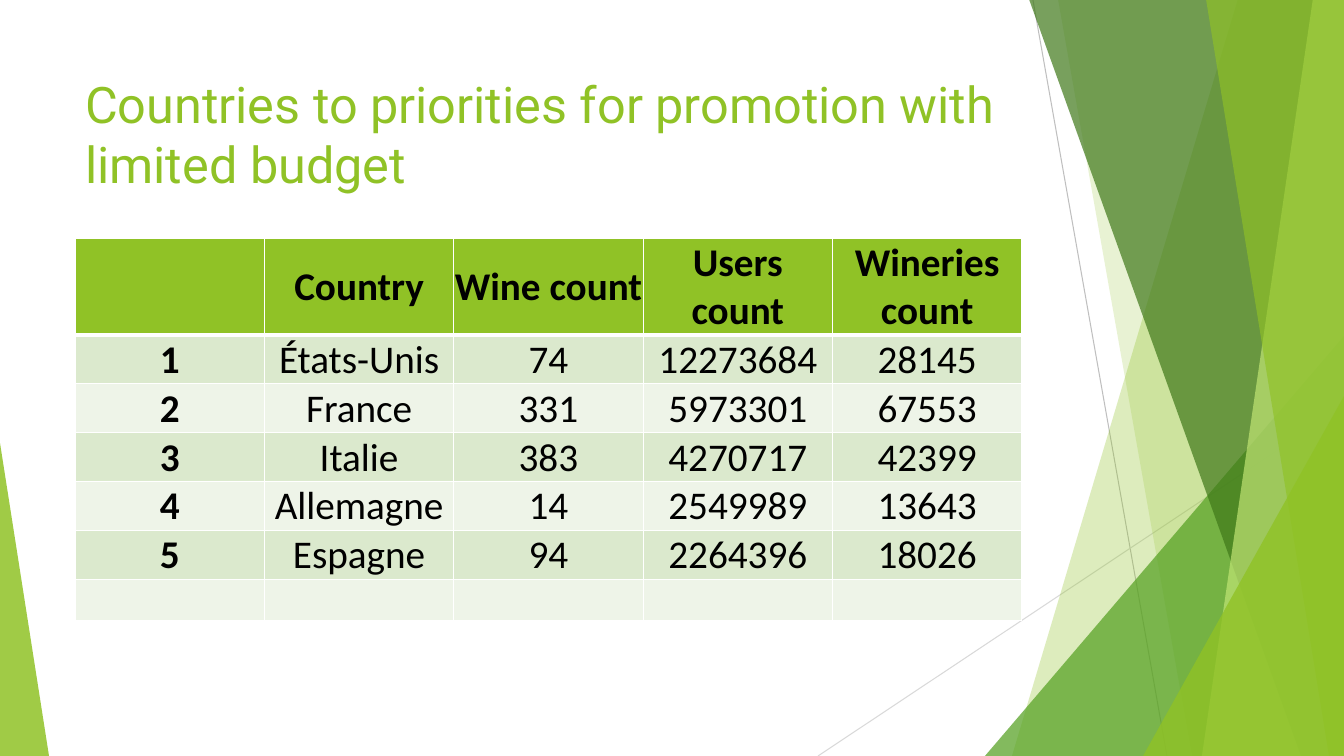
import pptx
import pptx.util
import pptx.dml.color
import pptx.enum.shapes
import pptx.enum.text
import pptx.oxml
import pptx.oxml.ns
import lxml.etree

THEME = {
    "lime": "90C226", "leaf": "54A021", "forest": "3F7819", "pale": "C0E474",
    "line dark": "BFBFBF", "line light": "D9D9D9",
    "band odd": "DBE9CD", "band even": "EEF4E8",
    "border": "FFFFFF", "text": "000000",
    "title font": "Roboto", "table font": "Calibri",
    "title size": 36, "table size": 28,
}
PX = 914400 / 100.8
WIDTH, HEIGHT = 1344, 756


def px(*lengths):
    return [pptx.util.Emu(round(length * PX)) for length in lengths]


def paint(shape, color, opacity):
    shape.shadow.inherit = False
    shape.line.fill.background()
    shape.fill.solid()
    shape.fill.fore_color.rgb = pptx.dml.color.RGBColor.from_string(THEME[color])
    tint = shape.element.spPr.find(".//" + pptx.oxml.ns.qn("a:srgbClr"))
    alpha = lxml.etree.SubElement(tint, pptx.oxml.ns.qn("a:alpha"))
    alpha.set("val", str(opacity * 1000))


deck = pptx.Presentation()
deck.slide_width, deck.slide_height = px(WIDTH, HEIGHT)
page = deck.slides.add_slide(deck.slide_layouts[5])

# Thin lines behind the facets
for ends, color in [((1033, 0, 1167, HEIGHT), "line dark"),
                    ((WIDTH, 406, 818, HEIGHT), "line light")]:
    line = page.shapes.add_connector(pptx.enum.shapes.MSO_CONNECTOR.STRAIGHT, *px(*ends))
    line.line.color.rgb = pptx.dml.color.RGBColor.from_string(THEME[color])
    line.line.width = pptx.util.Pt(0.75)
    lxml.etree.SubElement(line.element.spPr, pptx.oxml.ns.qn("a:effectLst"))

# Facets, back to front: slabs give top and bottom left corners,
# triangles give their box and the place of the tip
facets = [
    ("slab", (1238, 1012), "lime", 30),
    ("slab", (1058, 1192), "lime", 20),
    ("triangle", (985, 336, 359, 420, 1), "leaf", 72),
    ("slab", (1029, 1301), "forest", 70),
    ("slab", (1313, 1202), "pale", 70),
    ("slab", (1206, 1329), "lime", 65),
    ("triangle", (1143, 396, 201, 360, 1), "lime", 80),
    ("triangle", (0, 443, 49, 313, 0), "lime", 85),
]
for kind, place, color, opacity in facets:
    if kind == "slab":
        top_left, bottom_left = place
        outline = page.shapes.build_freeform(top_left, -1, scale=PX)
        outline.add_line_segments([(WIDTH, -1), (WIDTH, HEIGHT), (bottom_left, HEIGHT)])
        facet = outline.convert_to_shape()
    else:
        facet = page.shapes.add_shape(
            pptx.enum.shapes.MSO_SHAPE.ISOSCELES_TRIANGLE, *px(*place[:4]))
        facet.adjustments[0] = place[4]
    paint(facet, color, opacity)

# Title, brought in front of the facets
title = page.shapes.title
title.element.getparent().append(title.element)
title.left, title.top, title.width, title.height = px(75, 68, 947, 145)
frame = title.text_frame
frame.word_wrap = True
frame.auto_size = pptx.enum.text.MSO_AUTO_SIZE.NONE
frame.vertical_anchor = pptx.enum.text.MSO_ANCHOR.TOP
para = frame.paragraphs[0]
para.alignment = pptx.enum.text.PP_ALIGN.LEFT
span = para.add_run()
span.text = "Countries to priorities for promotion with limited budget"
span.font.name = THEME["title font"]
span.font.size = pptx.util.Pt(THEME["title size"])
span.font.color.rgb = pptx.dml.color.RGBColor.from_string(THEME["lime"])

# Country table
countries = [
    ("", "Country", "Wine count", "Users count", "Wineries count"),
    ("1", "États-Unis", "74", "12273684", "28145"),
    ("2", "France", "331", "5973301", "67553"),
    ("3", "Italie", "383", "4270717", "42399"),
    ("4", "Allemagne", "14", "2549989", "13643"),
    ("5", "Espagne", "94", "2264396", "18026"),
    ("", "", "", "", ""),
]
grid = page.shapes.add_table(len(countries), len(countries[0]), *px(75, 238, 947, 287)).table
for row in grid.rows:
    row.height = px(41)[0]

for row_index, values in enumerate(countries):
    header = row_index == 0
    band = "lime" if header else "band odd" if row_index % 2 else "band even"
    for column_index, value in enumerate(values):
        cell = grid.cell(row_index, column_index)

        # Borders, with a heavier rule under the header
        properties = cell._tc.get_or_add_tcPr()
        for side in ("L", "R", "T", "B"):
            heavy = (row_index, side) in [(0, "B"), (1, "T")]
            width = pptx.util.Pt(3 if heavy else 1)
            properties.append(pptx.oxml.parse_xml(
                f'<a:ln{side} {pptx.oxml.ns.nsdecls("a")} w="{width}"><a:solidFill>'
                f'<a:srgbClr val="{THEME["border"]}"/></a:solidFill></a:ln{side}>'))
        cell.fill.solid()
        cell.fill.fore_color.rgb = pptx.dml.color.RGBColor.from_string(THEME[band])

        # Value
        if not value:
            continue
        cell.margin_left, cell.margin_right, cell.margin_top, cell.margin_bottom = px(1, 1, 1, 0)
        cell.vertical_anchor = pptx.enum.text.MSO_ANCHOR.MIDDLE
        para = cell.text_frame.paragraphs[0]
        para.alignment = pptx.enum.text.PP_ALIGN.CENTER
        span = para.add_run()
        span.text = value
        span.font.name = THEME["table font"]
        span.font.size = pptx.util.Pt(THEME["table size"])
        span.font.bold = header or column_index == 0
        span.font.color.rgb = pptx.dml.color.RGBColor.from_string(THEME["text"])

deck.save("out.pptx")
